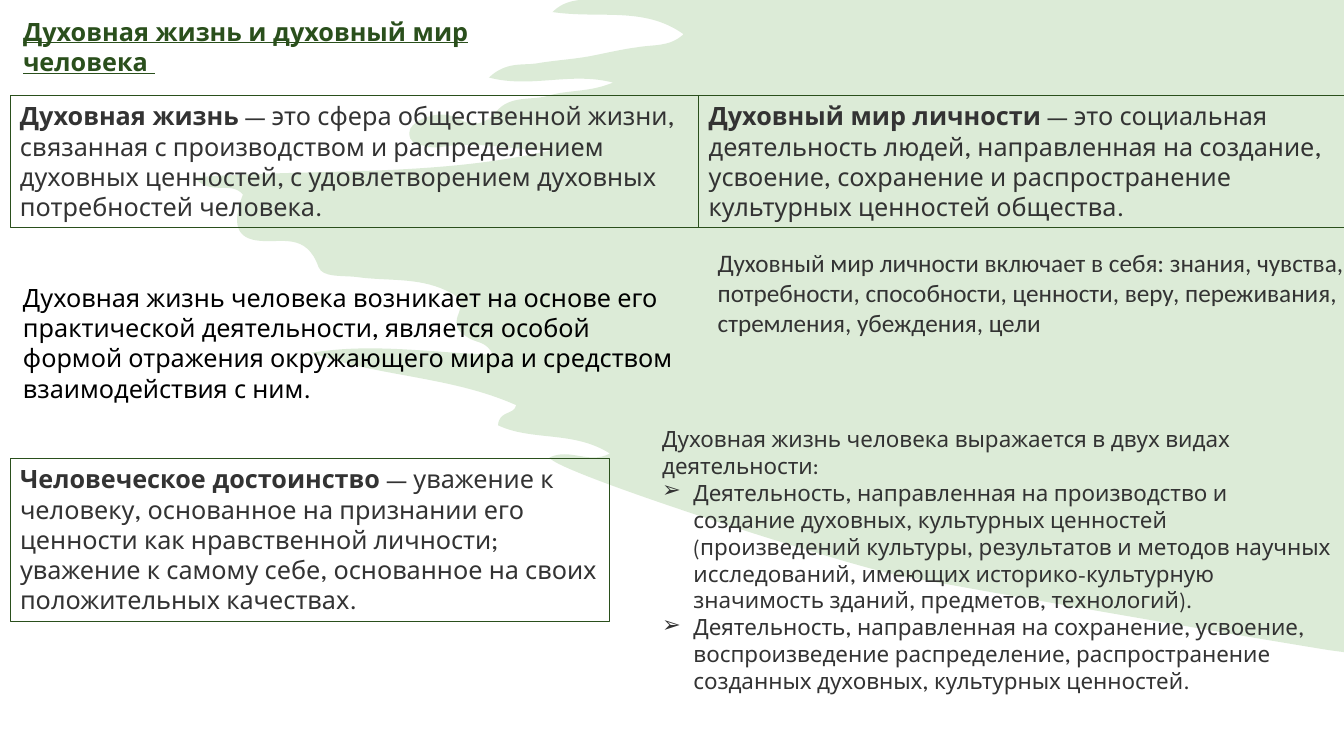
"""Build the slide on spiritual life and the spiritual world of a person."""
from lxml import etree
from pptx import Presentation
from pptx.dml.color import RGBColor
from pptx.enum.shapes import MSO_SHAPE
from pptx.enum.text import MSO_ANCHOR, MSO_AUTO_SIZE, PP_ALIGN
from pptx.oxml.ns import qn
from pptx.util import Inches, Pt

GREEN, GREY, BLACK = "2A4F1C", "333333", "000000"
MAIN = "League Spartan"


def rgb(value):
    return RGBColor.from_string(value)


def write(sp, paragraphs, size=18, color=GREY, name=MAIN, underline=None, anchor=MSO_ANCHOR.TOP):
    tf = sp.text_frame
    settings = {"word_wrap": True, "auto_size": MSO_AUTO_SIZE.SHAPE_TO_FIT_TEXT, "vertical_anchor": anchor}
    for key, value in settings.items():
        setattr(tf, key, value)
    for i, (bullet, runs) in enumerate(paragraphs):
        p = tf.add_paragraph() if i else tf.paragraphs[0]
        p.alignment = PP_ALIGN.LEFT
        if bullet:
            pPr = p._p.get_or_add_pPr()
            pPr.set("marL", str(Inches(0.31)))
            pPr.set("indent", str(-Inches(0.31)))
            etree.SubElement(pPr, qn("a:buFont")).set("typeface", name)
            etree.SubElement(pPr, qn("a:buChar")).set("char", bullet)
        for text, bold in runs:
            r = p.add_run()
            r.text = text
            font = {"size": Pt(size), "name": name, "bold": bold, "underline": underline}
            for key, value in font.items():
                setattr(r.font, key, value)
            r.font.color.rgb = rgb(color)


prs = Presentation()
prs.slide_width, prs.slide_height = Inches(13.33), Inches(7.5)
s = prs.slides.add_slide(prs.slide_layouts[6])

brush_curves = [
    (5.67, 0.01, 5.57, 0.03, 5.48, 0.12), (5.95, 0.19, 6.39, 0.06, 6.78, 0.34),
    (6.64, 0.47, 6.48, 0.44, 6.32, 0.47), (6.16, 0.49, 6, 0.53, 5.84, 0.56),
    (5.67, 0.59, 5.49, 0.6, 5.32, 0.63), (5.18, 0.65, 5.02, 0.61, 4.85, 0.77),
    (5.27, 0.88, 5.66, 0.71, 6.08, 0.82), (5.84, 0.92, 5.63, 0.89, 5.44, 0.95),
    (5.27, 1, 5.06, 0.94, 4.92, 1.11), (4.81, 1.24, 4.69, 1.26, 4.55, 1.18),
    (4.42, 1.11, 4.28, 1.13, 4.15, 1.2), (4.11, 1.23, 4.06, 1.26, 4.06, 1.32),
    (4.06, 1.41, 4.12, 1.43, 4.18, 1.44), (4.24, 1.46, 4.31, 1.47, 4.37, 1.46),
    (4.74, 1.39, 5.1, 1.5, 5.47, 1.49), (4.31, 1.76, 3.14, 1.67, 1.93, 1.76),
    (2.09, 1.95, 2.29, 1.79, 2.41, 1.93), (2.3, 2.22, 2.34, 2.37, 2.58, 2.39),
    (2.8, 2.41, 3.04, 2.31, 3.16, 2.65), (3.2, 2.76, 3.41, 2.73, 3.55, 2.75),
    (3.84, 2.79, 4.14, 2.75, 4.42, 2.88), (4.53, 2.93, 4.6, 2.97, 4.55, 3.11),
    (4.49, 3.25, 4.56, 3.3, 4.66, 3.36), (4.73, 3.4, 4.83, 3.39, 4.89, 3.52),
    (4.28, 3.5, 3.69, 3.4, 3.09, 3.5), (3.75, 3.74, 4.47, 3.73, 5.12, 4.02),
    (5.1, 4.12, 4.95, 4.07, 4.94, 4.22), (5.28, 4.38, 5.69, 4.27, 6.05, 4.5),
    (5.84, 4.61, 5.65, 4.44, 5.45, 4.54), (5.52, 4.69, 8.4, 5.61, 8.92, 5.71),
    (9.78, 5.87, 11.95, 6.25, 13.18, 6.45),
]
units = 1000
left = 1.93
ends = [(5.75, 0)] + [curve[4:] for curve in brush_curves] + [(13.33, 6.47)]
builder = s.shapes.build_freeform(13.33 * units, 0, scale=Inches(1) / units)
builder.add_line_segments([(x * units, y * units) for x, y in ends], close=True)
brush = builder.convert_to_shape()
segments = list(brush._element.iter(qn("a:lnTo")))
for segment, curve in zip(segments[1:], brush_curves):
    bend = etree.Element(qn("a:cubicBezTo"))
    for x, y in zip(curve[::2], curve[1::2]):
        pt = etree.SubElement(bend, qn("a:pt"))
        pt.set("x", str(round((x - left) * units)))
        pt.set("y", str(round(y * units)))
    segment.getparent().replace(segment, bend)
brush.shadow.inherit = False
brush.line.fill.background()
brush.fill.solid()
brush.fill.fore_color.rgb = rgb("549E39")
tint = brush.fill._xPr.find(qn("a:solidFill"))[0]
etree.SubElement(tint, qn("a:alpha")).set("val", "20000")

definitions = [
    ((0.1, 0.95, 6.83, 1.31), "Духовная жизнь",
     " — это сфера общественной жизни, связанная с производством и распределением "
     "духовных ценностей, с удовлетворением духовных потребностей человека."),
    ((6.93, 0.95, 6.75, 1.31), "Духовный мир личности",
     " — это социальная деятельность людей, направленная на создание, усвоение, "
     "сохранение и распространение культурных ценностей общества."),
    ((0.1, 4.55, 5.95, 1.62), "Человеческое достоинство",
     " — уважение к человеку, основанное на признании его ценности как нравственной "
     "личности; уважение к самому себе, основанное на своих положительных качествах."),
]
for box, term, meaning in definitions:
    sp = s.shapes.add_shape(MSO_SHAPE.RECTANGLE, *map(Inches, box))
    sp.shadow.inherit = False
    sp.fill.background()
    sp.line.color.rgb = rgb(GREEN)
    sp.line.width = Pt(0.75)
    write(sp, [(None, [(term, True), (meaning, False)])])

passages = [
    ((0.13, 0.11, 5.71, 0.4), {"color": GREEN, "underline": True},
     [(None, [("Духовная жизнь и духовный мир человека ", True)])]),
    ((6.47, 4.17, 6.87, 2.79), {"size": 16},
     [(None, [("Духовная жизнь человека выражается в двух видах деятельности:", False)]),
      ("➢", [("Деятельность, направленная на производство и создание духовных, культурных "
              "ценностей (произведений культуры, результатов и методов научных исследований, "
              "имеющих историко-культурную значимость зданий, предметов, технологий).", False)]),
      ("➢", [("Деятельность, направленная на сохранение, усвоение, воспроизведение "
              "распределение, распространение созданных духовных, культурных ценностей.", False)])]),
    ((0.13, 2.75, 6.67, 1.31), {"color": BLACK},
     [(None, [("Духовная жизнь человека возникает на основе его практической деятельности, "
               "является особой формой отражения окружающего мира и средством "
               "взаимодействия с ним.", False)])]),
    ((7.02, 2.4, 6.67, 1.01), {"name": "Calibri"},
     [(None, [("Духовный мир личности включает в себя: знания, чувства, потребности, "
               "способности, ценности, веру, переживания, стремления, убеждения, цели", False)])]),
]
for box, style, paragraphs in passages:
    write(s.shapes.add_textbox(*map(Inches, box)), paragraphs, **style)

prs.save("out.pptx")
